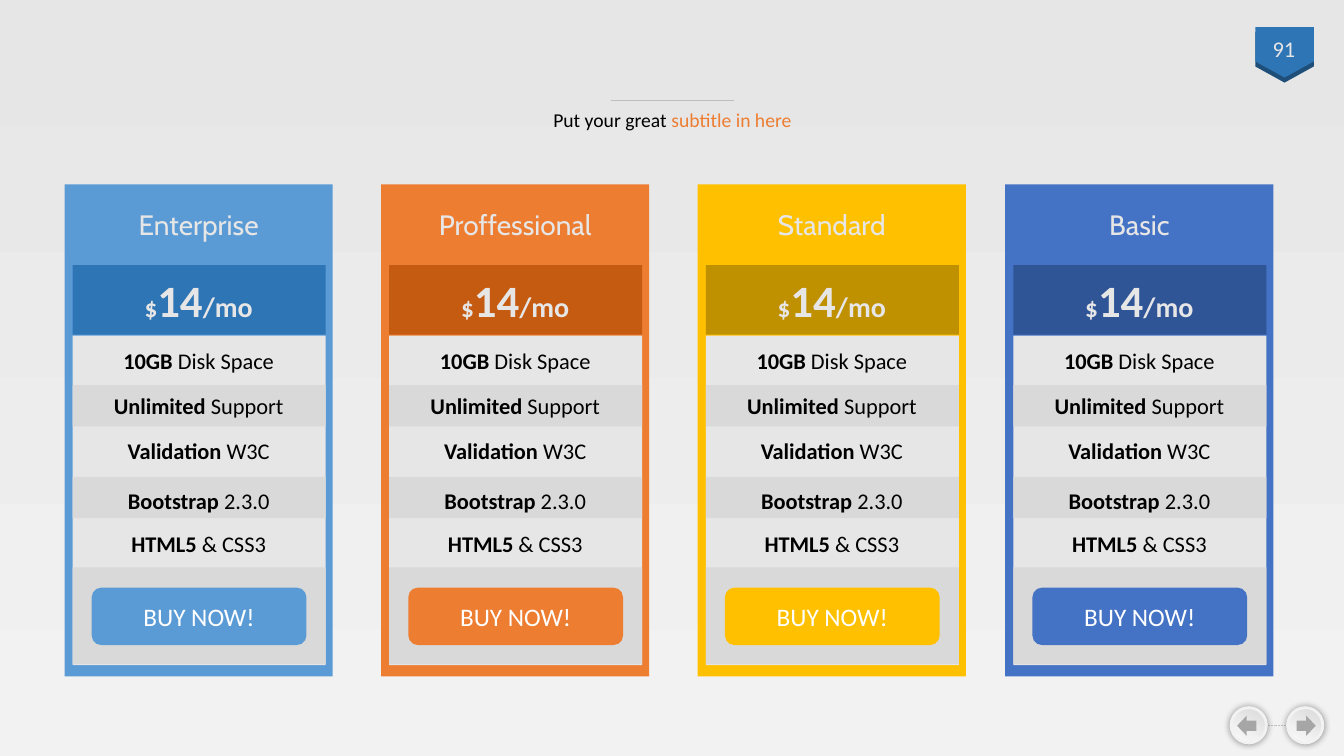
import copy

import lxml.etree
import pptx
import pptx.dml.color
import pptx.enum.dml
import pptx.enum.shapes
import pptx.enum.text
import pptx.oxml.ns
import pptx.util

Inches = pptx.util.Inches
Pt = pptx.util.Pt
qn = pptx.oxml.ns.qn
SHAPE = pptx.enum.shapes.MSO_SHAPE

COLORS = {
    "light": "E7E6E6", "pale": "F2F2F2", "white": "FFFFFF", "black": "000000",
    "stripe": "D9D9D9", "rule": "BFBFBF", "arrow": "A6A6A6",
    "sky": "5B9BD5", "sky_dark": "2E75B6", "navy": "1F4E79",
    "orange": "ED7D31", "orange_dark": "C55A11",
    "gold": "FFC000", "gold_dark": "BF9000",
    "blue": "4472C4", "blue_dark": "2F5597",
}

PLANS = [
    ("Enterprise", 0.64, 1.49, "sky"),
    ("Proffessional", 3.78, 1.82, "orange"),
    ("Standard", 6.92, 1.32, "gold"),
    ("Basic", 9.97, 0.85, "blue"),
]

FEATURES = [
    ("10GB", " Disk Space", 3.39, 1.71),
    ("Unlimited ", "Support", 3.84, 1.92),
    ("Validation ", "W3C", 4.29, 1.63),
    ("Bootstrap ", "2.3.0", 4.78, 1.62),
    ("HTML5", " & CSS3", 5.21, 1.55),
]


def rgb(name):
    return pptx.dml.color.RGBColor.from_string(COLORS[name])


def add_run(p, text, size=16, color="black", bold=False, font="Calibri"):
    r = p.add_run()
    r.text = text
    r.font.size = Pt(size)
    r.font.color.rgb = rgb(color)
    r.font.bold = bold
    r.font.name = font


def write_centered(sp, runs, middle=True):
    tf = sp.text_frame
    if middle:
        tf.vertical_anchor = pptx.enum.text.MSO_ANCHOR.MIDDLE
    p = tf.paragraphs[0]
    p.alignment = pptx.enum.text.PP_ALIGN.CENTER
    for text, fmt in runs:
        add_run(p, text, **fmt)


def add_box(shapes, kind, x, y, w, h, color):
    sp = shapes.add_shape(kind, Inches(x), Inches(y), Inches(w), Inches(h))
    sp.shadow.inherit = False
    sp.fill.solid()
    sp.fill.fore_color.rgb = rgb(color)
    sp.line.fill.background()
    return sp


def add_text(shapes, x, y, w, h, runs):
    sp = shapes.add_textbox(Inches(x), Inches(y), Inches(w), Inches(h))
    sp.text_frame.word_wrap = True
    write_centered(sp, runs)


def add_label(shapes, center, y, w, h, runs):
    sp = shapes.add_textbox(Inches(center - w / 2), Inches(y), Inches(w), Inches(h))
    sp.text_frame.word_wrap = False
    sp.text_frame.auto_size = pptx.enum.text.MSO_AUTO_SIZE.SHAPE_TO_FIT_TEXT
    write_centered(sp, runs, middle=False)


def add_rule(shapes, x1, x2, y, dash=None):
    cx = shapes.add_connector(pptx.enum.shapes.MSO_CONNECTOR.STRAIGHT,
                              Inches(x1), Inches(y), Inches(x2), Inches(y))
    cx.line.color.rgb = rgb("rule")
    cx.line.width = Pt(0.5)
    if dash:
        cx.line.dash_style = dash
    lxml.etree.SubElement(cx.element.spPr, qn("a:effectLst"))


def set_gradient(owner, fill, stops, angle):
    fill.gradient()
    fill.gradient_angle = angle
    gs_list = owner.element.find(".//" + qn("a:gsLst"))
    while len(gs_list) < len(stops):
        gs_list.append(copy.deepcopy(gs_list[0]))
    for stop, (position, color) in zip(fill.gradient_stops, stops):
        stop.position = position
        stop.color.rgb = rgb(color)


def add_glow(sp, blur, alpha):
    effects = sp.element.spPr.find(qn("a:effectLst"))
    shadow = lxml.etree.SubElement(effects, qn("a:outerShdw"), blurRad=str(Pt(blur)), dist="0")
    clr = lxml.etree.SubElement(shadow, qn("a:srgbClr"), val=COLORS["black"])
    lxml.etree.SubElement(clr, qn("a:alpha"), val=str(alpha * 1000))


def add_nav_button(shapes, x, arrow_x, flip=False):
    sp = add_box(shapes, SHAPE.OVAL, x, 7.02, 0.35, 0.35, "pale")
    set_gradient(sp, sp.fill, [(0.01, "stripe"), (0.71, "pale"), (1, "white")], 240)
    sp.line.color.rgb = rgb("pale")
    sp.line.width = Pt(2)
    add_glow(sp, 5, 40)
    arrow = add_box(shapes, SHAPE.RIGHT_ARROW, arrow_x, 7.1, 0.19, 0.2, "arrow")
    if flip:
        arrow.element.spPr.find(qn("a:xfrm")).set("flipH", "1")


def add_badge(shapes):
    for y, color in ((0.28, "navy"), (0.23, "sky_dark")):
        sp = add_box(shapes, SHAPE.PENTAGON, 12.49, y, 0.5, 0.58, color)
        sp.adjustments[0] = 0.32
        sp.rotation = 90
    add_text(shapes, 12.35, 0.28, 0.77, 0.4, [("91", dict(color="light"))])


def add_plan(shapes, name, x, name_width, color):
    center = x + 1.33
    add_box(shapes, SHAPE.RECTANGLE, x, 1.83, 2.66, 4.88, color)
    bands = [(2.63, 0.69, color + "_dark"), (3.33, 3.27, "light"), (3.82, 0.41, "stripe"),
             (4.73, 0.41, "stripe"), (5.63, 0.96, "stripe")]
    for y, h, band_color in bands:
        add_box(shapes, SHAPE.RECTANGLE, x + 0.08, y, 2.51, h, band_color)
    button = add_box(shapes, SHAPE.ROUNDED_RECTANGLE, x + 0.27, 5.83, 2.13, 0.57, color)
    write_centered(button, [("BUY NOW!", dict(size=18, color="white"))])
    add_label(shapes, center, 2.01, name_width, 0.44,
              [(name, dict(size=20, color="light", font="Cabin"))])
    add_label(shapes, center, 2.66, 1.29, 0.64,
              [(text, dict(size=size, color="light", bold=True))
               for text, size in (("$", 18), ("14", 32), ("/mo", 20))])
    for strong, plain, y, w in FEATURES:
        add_label(shapes, center, y, w, 0.37, [(strong, dict(bold=True)), (plain, {})])


def main():
    prs = pptx.Presentation()
    prs.slide_width = Inches(13.33)
    prs.slide_height = Inches(7.5)
    s = prs.slides.add_slide(prs.slide_layouts[6])
    set_gradient(s, s.background.fill, [(0, "light"), (1, "pale")], 270)

    add_badge(s.shapes)
    add_rule(s.shapes, 6.06, 7.28, 1)
    nav = s.shapes.add_group_shape().shapes
    add_rule(nav, 12.56, 12.77, 7.2, pptx.enum.dml.MSO_LINE.ROUND_DOT)
    add_nav_button(nav, 12.77, 12.86)
    add_nav_button(nav, 12.21, 12.27, flip=True)
    add_text(s.shapes, 4.42, 0.99, 4.5, 0.4,
             [("Put your great ", dict(size=14)),
              ("subtitle in here", dict(size=14, color="orange"))])
    for plan in PLANS:
        add_plan(s.shapes.add_group_shape().shapes, *plan)
    prs.save("out.pptx")


if __name__ == "__main__":
    main()
